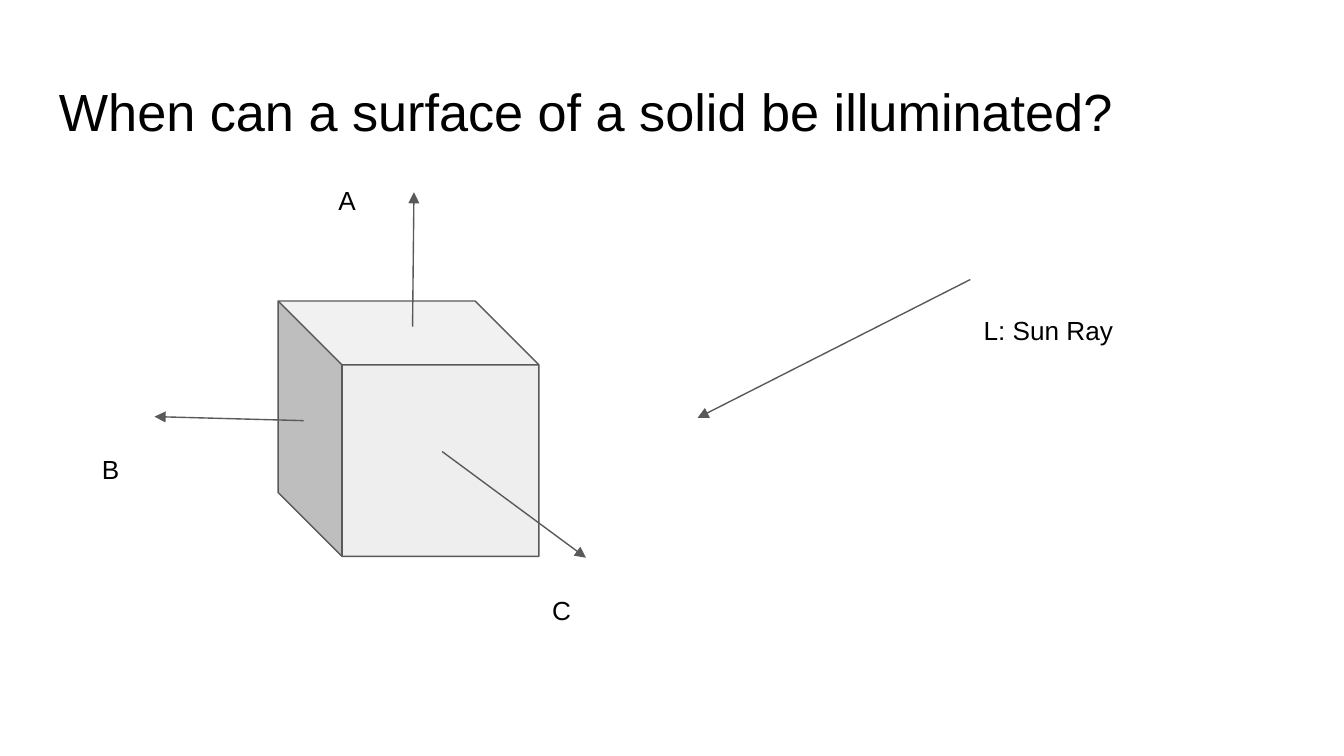
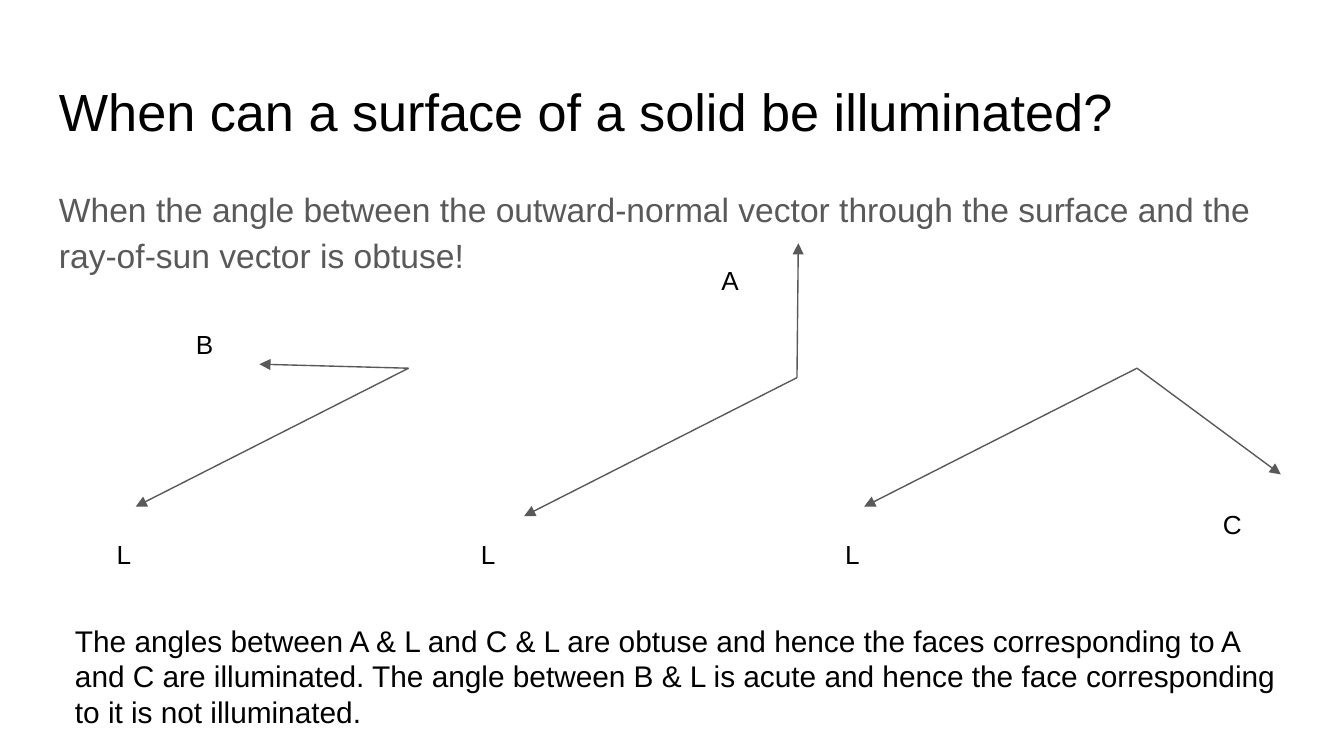
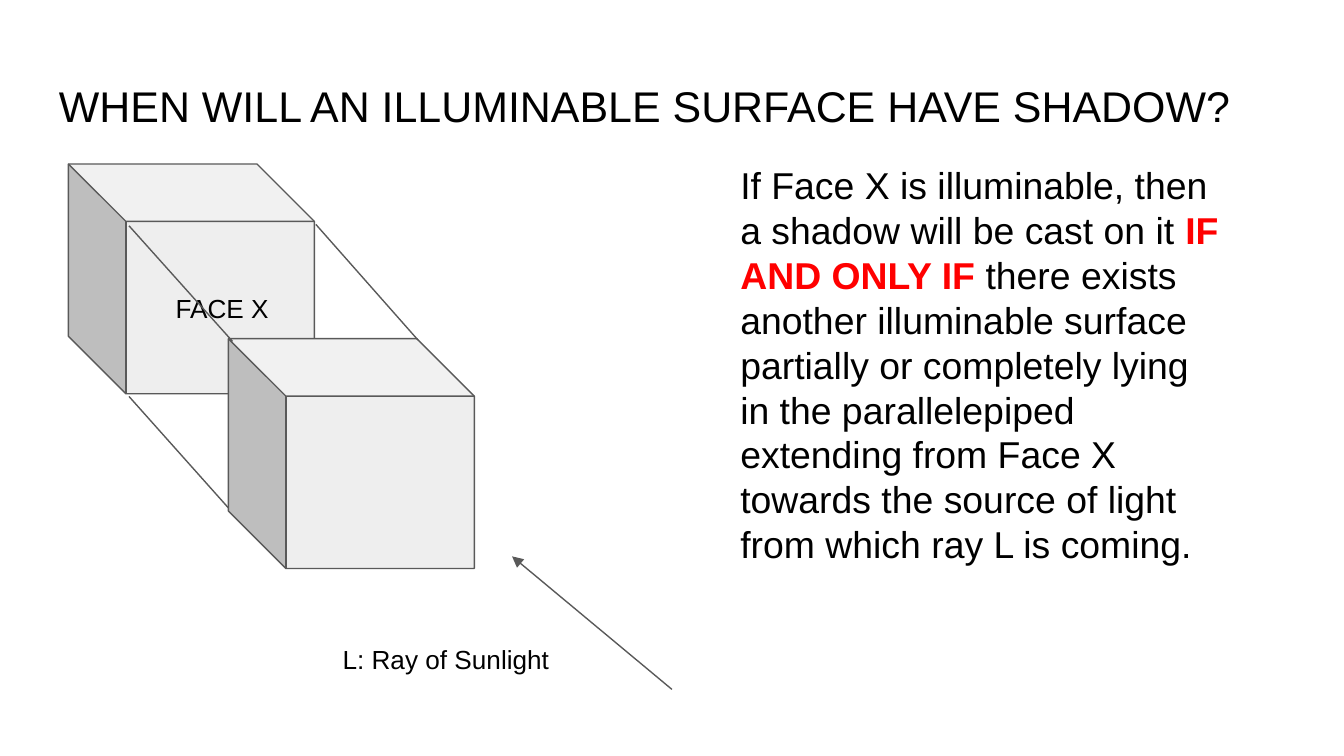
from lxml.etree import SubElement
from pptx import Presentation
from pptx.dml.color import RGBColor
from pptx.enum.shapes import MSO_CONNECTOR, MSO_SHAPE
from pptx.enum.text import MSO_ANCHOR, PP_ALIGN
from pptx.oxml.ns import qn
from pptx.util import Inches, Pt

FONT = "Arial"
BLACK, GRAY, FACE, RED, WHITE = "000000", "595959", "EEEEEE", "FF0000", "FFFFFF"

LIT = "When can a surface of a solid be illuminated?"
SHADOW = "WHEN WILL AN ILLUMINABLE SURFACE HAVE SHADOW?"
ANSWER = ("When the angle between the outward-normal vector through the "
          "surface and the ray-of-sun vector is obtuse!")
REASON = ("The angles between A & L and C & L are obtuse and hence the faces "
          "corresponding to A and C are illuminated. The angle between B & L "
          "is acute and hence the face corresponding to it is not illuminated.")
RULE = [
    ("If Face X is illuminable, then a shadow will be cast on it ", BLACK, False),
    ("IF AND ONLY IF", RED, True),
    (" there exists another illuminable surface partially or completely lying "
     "in the parallelepiped extending from Face X towards the source of light "
     "from which ray L is coming.", BLACK, False),
]

# Directions: sun ray and the outward normal of each face
RAY = (-2.03, 1.03)
NORMALS = {"A": (0.01, -1), "B": (-1.11, -0.03), "C": (1.07, 0.79)}

# Face: (start of its normal, place of its label)
SOLID = {
    "B": ((2.26, 3.13), (0.66, 3.27)),
    "C": ((3.29, 3.36), (4.01, 4.32)),
    "A": ((3.07, 2.43), (2.42, 1.27)),
}
# Face: (corner of the angle, place of its label, left of the ray label)
ANGLES = {
    "B": ((3.04, 2.74), (1.36, 2.34), 0.77),
    "A": ((5.93, 2.81), (5.27, 1.87), 3.48),
    "C": ((8.46, 2.74), (9, 3.68), 6.19),
}
EDGES = [
    ((3.11, 2.53), (2.35, 1.67)),
    ((1.73, 2.54), (0.96, 1.68)),
    ((1.7, 3.78), (0.96, 2.95)),
]


def color(code):
    return RGBColor.from_string(code)


def write(frame, runs, size):
    """Fill a frame with one left-aligned paragraph of (text, colour, bold) runs."""
    frame.word_wrap = True
    for side in ("left", "right", "top", "bottom"):
        setattr(frame, f"margin_{side}", Inches(0.1))
    para = frame.paragraphs[0]
    para.alignment = PP_ALIGN.LEFT
    for words, tint, bold in runs:
        run = para.add_run()
        run.text = words
        font = run.font
        font.name, font.size, font.bold = FONT, Pt(size), bold
        font.color.rgb = color(tint)
    return para


def add_text(slide, box, runs, size=14, tint=BLACK):
    if isinstance(runs, str):
        runs = [(runs, tint, False)]
    frame = slide.shapes.add_textbox(*map(Inches, box)).text_frame
    return write(frame, runs, size)


def add_line(slide, start, end, arrow=True):
    line = slide.shapes.add_connector(
        MSO_CONNECTOR.STRAIGHT, *map(Inches, (*start, *end)))
    line.line.color.rgb = color(GRAY)
    line.line.width = Pt(0.75)
    props = line._element.spPr
    if arrow:
        SubElement(props.find(qn("a:ln")), qn("a:tailEnd"), type="triangle")
    SubElement(props, qn("a:effectLst"))


def add_vector(slide, start, step):
    add_line(slide, start, (start[0] + step[0], start[1] + step[1]))


def add_cube(slide, box):
    """Add a cube whose side face is on the left."""
    cube = slide.shapes.add_shape(MSO_SHAPE.CUBE, *map(Inches, box))
    cube.shadow.inherit = False
    cube.fill.solid()
    cube.fill.fore_color.rgb = color(FACE)
    cube.line.color.rgb = color(GRAY)
    cube.line.width = Pt(0.75)
    cube._element.spPr.find(qn("a:xfrm")).set("flipH", "1")
    return cube


def add_slide(deck, title, size=28):
    slide = deck.slides.add_slide(deck.slide_layouts[6])
    slide.background.fill.solid()
    slide.background.fill.fore_color.rgb = color(WHITE)
    add_text(slide, (0.34, 0.49, 9.32, 0.63), title, size)
    return slide


def show_solid(deck):
    slide = add_slide(deck, LIT)
    add_cube(slide, (2.07, 2.24, 1.94, 1.9))
    for name, (start, spot) in SOLID.items():
        add_vector(slide, start, NORMALS[name])
        add_text(slide, (*spot, 0.47, 0.46), name)
    add_vector(slide, (7.22, 2.08), RAY)
    add_text(slide, (7.22, 2.24, 1.81, 0.56), "L: Sun Ray")


def show_angles(deck):
    slide = add_slide(deck, LIT)
    para = add_text(slide, (0.34, 1.26, 9.32, 3.21), ANSWER, 18, GRAY)
    para.line_spacing = 1.15
    para.space_after = Pt(16)
    for name, (corner, spot, left) in ANGLES.items():
        add_vector(slide, corner, RAY)
        add_vector(slide, corner, NORMALS[name])
        add_text(slide, (*spot, 0.47, 0.4), name)
        add_text(slide, (left, 3.91, 0.47, 0.4), "L")
    add_text(slide, (0.46, 4.53, 9.2, 1), REASON, 16)


def show_shadow(deck):
    slide = add_slide(deck, SHADOW, 23)
    back = add_cube(slide, (0.51, 1.22, 1.83, 1.71)).text_frame
    write(back, [("FACE X", BLACK, False)], 14)
    back.margin_left = Inches(0.37)
    back.vertical_anchor = MSO_ANCHOR.MIDDLE
    add_line(slide, (5, 5.13), (3.81, 4.14))
    add_cube(slide, (1.7, 2.52, 1.83, 1.71))
    for start, end in EDGES:
        add_line(slide, start, end, arrow=False)
    add_text(slide, (2.45, 4.69, 1.88, 0.43), "L: Ray of Sunlight")
    add_text(slide, (5.41, 1.11, 3.82, 4.22), RULE, 20)


def main():
    deck = Presentation()
    deck.slide_width = Inches(10)
    deck.slide_height = deck.slide_width * 9 // 16
    for show in (show_solid, show_angles, show_shadow):
        show(deck)
    deck.save("out.pptx")


if __name__ == "__main__":
    main()
